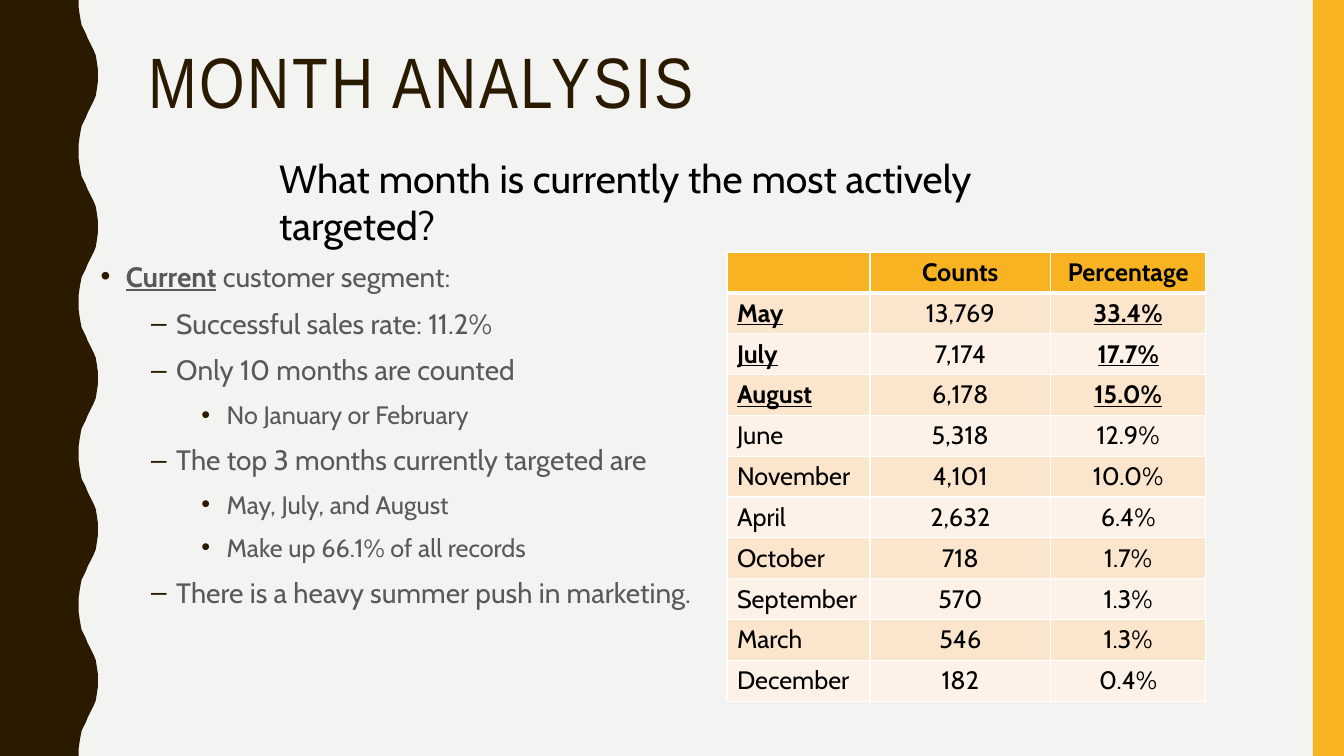
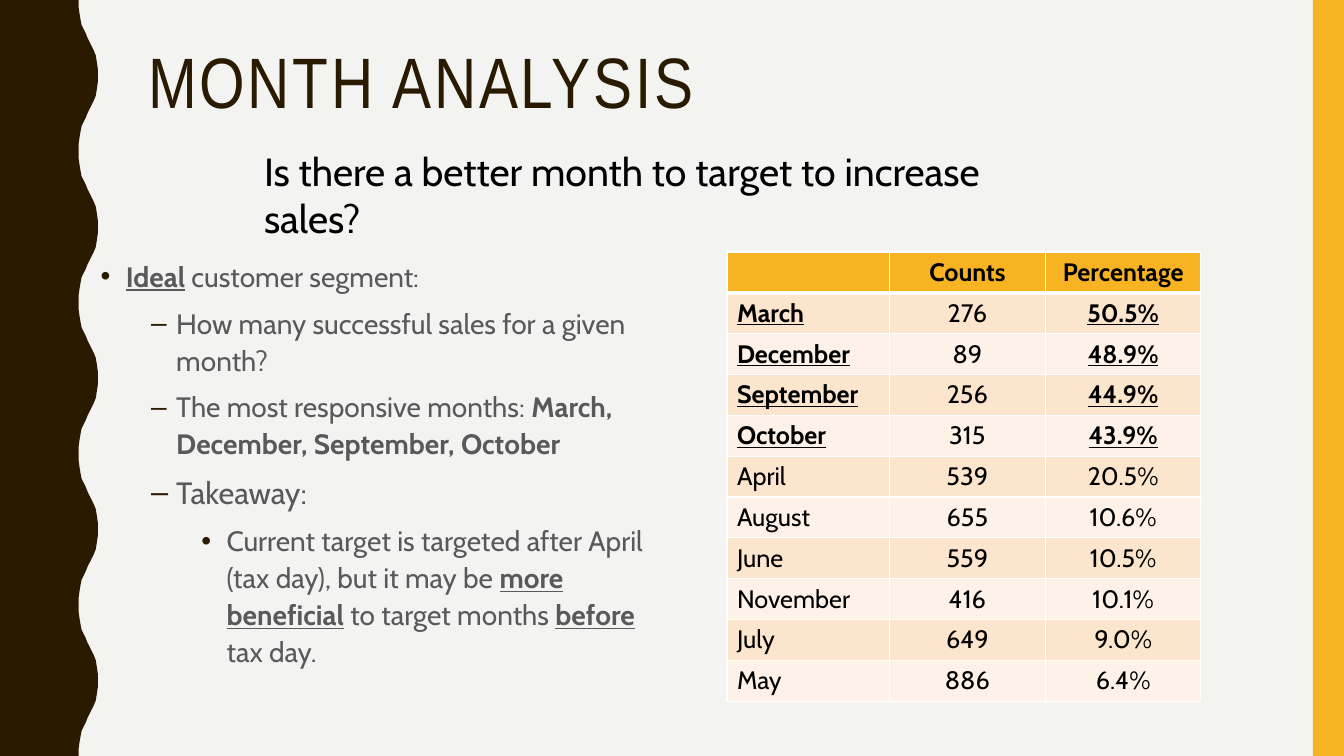
from collections import namedtuple
from dataclasses import dataclass

from lxml import etree
from pptx import Presentation
from pptx import util as u
from pptx.dml import color
from pptx.enum import shapes, text
from pptx.oxml import ns

Inches, Pt = u.Inches, u.Pt
Box = namedtuple("Box", "left top width height")


@dataclass(frozen=True)
class Theme:
    background: str = "F3F3F2"
    dark: str = "2A1A00"
    accent: str = "F8B323"
    body: str = "595959"
    black: str = "000000"
    white: str = "FFFFFF"
    stripes: tuple = ("FCE5CD", "FEF2E8")
    title_font: str = "Arial Narrow"
    text_font: str = "Cabin"
    title_size: int = 51
    question_size: int = 28
    takeaway_size: int = 22
    body_size: int = 20
    small_size: int = 18
    rule: int = 1
    header_rule: int = 3


THEME = Theme()
SLIDE = Box(0, 0, 13.33, 7.5)
WAVE_X = (0.78, 0.78, 0.79, 0.8, 0.81, 0.83, 0.85, 0.87,
          0.89, 0.91, 0.93, 0.95, 0.96, 0.97, 0.97)
WAVE_Y = (0, 0.07, 0.14, 0.2, 0.25, 0.29, 0.33, 0.38,
          0.42, 0.46, 0.5, 0.55, 0.61, 0.68, 0.75)
WAVE_PERIOD = 1.5
WAVE_COUNT = 5


def rgb(value):
    return color.RGBColor.from_string(value)


def emu(box):
    return [Inches(length) for length in box]


def paint(shape, fill):
    shape.shadow.inherit = False
    shape.fill.solid()
    shape.fill.fore_color.rgb = rgb(fill)
    shape.line.fill.background()


def add_run(paragraph, words, size, fill, font=THEME.text_font, style=""):
    run = paragraph.add_run()
    run.text = words
    run.font.name = font
    run.font.size = Pt(size)
    run.font.color.rgb = rgb(fill)
    run.font.bold = "b" in style
    run.font.underline = "u" in style
    return run


def add_text_frame(slide, box):
    frame = slide.shapes.add_textbox(*emu(box)).text_frame
    frame.word_wrap = True
    frame.vertical_anchor = text.MSO_ANCHOR.TOP
    return frame


def add_wave(slide, box):
    rise = list(zip(WAVE_X, WAVE_Y))
    fall = [(x, WAVE_PERIOD - y) for x, y in reversed(rise[:-1])]
    edge = [(x, y + WAVE_PERIOD * wave)
            for wave in range(WAVE_COUNT) for x, y in rise + fall]
    outline = edge + [(0, box.height)]
    builder = slide.shapes.build_freeform(Inches(box.left), Inches(box.top))
    builder.add_line_segments(
        [(Inches(box.left + x), Inches(box.top + y)) for x, y in outline], close=True)
    paint(builder.convert_to_shape(), THEME.dark)


def add_side_band(slide, box):
    band = slide.shapes.add_shape(shapes.MSO_SHAPE.RECTANGLE, *emu(box))
    paint(band, THEME.accent)


def add_title(slide, box, words):
    paragraph = add_text_frame(slide, box).paragraphs[0]
    paragraph.line_spacing = 0.9
    run = add_run(paragraph, words, THEME.title_size, THEME.dark, THEME.title_font)
    run.font._element.set("spc", "200")


def add_question(slide, box, words):
    paragraph = add_text_frame(slide, box).paragraphs[0]
    add_run(paragraph, words, THEME.question_size, THEME.black)


def set_bullet(paragraph, level):
    properties = paragraph._p.get_or_add_pPr()
    properties.set("marL", str(Inches(0.25 + 0.5 * level)))
    properties.set("indent", str(-Inches(0.25)))
    bullet_color = etree.SubElement(properties, ns.qn("a:buClr"))
    etree.SubElement(bullet_color, ns.qn("a:srgbClr"), val=THEME.dark)
    etree.SubElement(properties, ns.qn("a:buFont"), typeface="Arial")
    etree.SubElement(properties, ns.qn("a:buChar"), char="–" if level == 1 else "•")


def add_findings(slide, box, findings):
    frame = add_text_frame(slide, box)
    for index, (level, size, runs) in enumerate(findings):
        paragraph = frame.add_paragraph() if index else frame.paragraphs[0]
        paragraph.level = level
        paragraph.line_spacing = 1.1
        paragraph.space_before = Pt(7)
        set_bullet(paragraph, level)
        for words, style in runs:
            add_run(paragraph, words, size, THEME.body, style=style)


def set_borders(cell, top, bottom):
    properties = cell._tc.get_or_add_tcPr()
    widths = {"lnL": THEME.rule, "lnR": THEME.rule, "lnT": top, "lnB": bottom}
    for side, width in widths.items():
        line = etree.SubElement(properties, ns.qn(f"a:{side}"), w=str(Pt(width)))
        fill = etree.SubElement(line, ns.qn("a:solidFill"))
        etree.SubElement(fill, ns.qn("a:srgbClr"), val=THEME.white)


def add_month_table(slide, box, widths, months, highlighted):
    rows = [("", "Counts", "Percentage"), *months]
    frame = slide.shapes.add_table(len(rows), len(widths), *emu(box))
    table = frame.table
    for column, width in zip(table.columns, widths):
        column.width = Inches(width)
    for row_index, row in enumerate(rows):
        table.rows[row_index].height = Inches(box.height / len(rows))
        header = row_index == 0
        for column_index, words in enumerate(row):
            cell = table.cell(row_index, column_index)
            set_borders(cell,
                        THEME.header_rule if row_index == 1 else THEME.rule,
                        THEME.header_rule if header else THEME.rule)
            cell.fill.solid()
            cell.fill.fore_color.rgb = rgb(
                THEME.accent if header else THEME.stripes[(row_index - 1) % 2])
            if not words:
                continue
            paragraph = cell.text_frame.paragraphs[0]
            if column_index:
                paragraph.alignment = text.PP_ALIGN.CENTER
            strong = row_index <= highlighted and column_index != 1
            style = "b" if header else "bu" if strong else ""
            add_run(paragraph, words, THEME.small_size, THEME.black, style=style)


def add_month_slide(presentation, box, question, findings, table):
    slide = presentation.slides.add_slide(presentation.slide_layouts[6])
    slide.background.fill.solid()
    slide.background.fill.fore_color.rgb = rgb(THEME.background)
    add_wave(slide, Box(box.left, box.top, 0.97, box.height))
    add_side_band(slide, Box(box.left + box.width - 0.31, box.top, 0.31, box.height))
    add_title(slide, Box(box.left + 1.37, box.top + 0.42, 11.13, 1.63), "MONTH ANALYSIS")
    add_question(slide, *question)
    findings_width, lines = findings
    add_findings(slide, Box(box.left + 0.9, box.top + 2.49, findings_width, 4.38), lines)
    widths, months, highlighted = table
    add_month_table(slide, Box(box.left + 7.21, box.top + 2.5, sum(widths), 4.46),
                    widths, months, highlighted)


CURRENT_FINDINGS = [
    (0, THEME.body_size, [("Current", "bu"), (" customer segment:", "")]),
    (1, THEME.body_size, [("Successful sales rate: 11.2%", "")]),
    (1, THEME.body_size, [("Only 10 months are counted", "")]),
    (2, THEME.small_size, [("No January or February", "")]),
    (1, THEME.body_size, [("The top 3 months currently targeted are", "")]),
    (2, THEME.small_size, [("May, July, and August", "")]),
    (2, THEME.small_size, [("Make up 66.1% of all records", "")]),
    (1, THEME.body_size, [("There is a heavy summer push in marketing.", "")]),
]
CURRENT_MONTHS = [
    ("May", "13,769", "33.4%"),
    ("July", "7,174", "17.7%"),
    ("August", "6,178", "15.0%"),
    ("June", "5,318", "12.9%"),
    ("November", "4,101", "10.0%"),
    ("April", "2,632", "6.4%"),
    ("October", "718", "1.7%"),
    ("September", "570", "1.3%"),
    ("March", "546", "1.3%"),
    ("December", "182", "0.4%"),
]
IDEAL_FINDINGS = [
    (0, THEME.body_size, [("Ideal", "bu"), (" customer segment:", "")]),
    (1, THEME.body_size, [("How many successful sales for a given month?", "")]),
    (1, THEME.body_size, [("The most responsive months: ", ""),
                          ("March, December, September, October", "b")]),
    (1, THEME.takeaway_size, [("Takeaway:", "")]),
    (2, THEME.body_size, [
        ("Current target is targeted after April (tax day), but it may be ", ""),
        ("more beneficial", "bu"), (" to target months ", ""),
        ("before", "bu"), (" tax day.", "")]),
]
IDEAL_MONTHS = [
    ("March", "276", "50.5%"),
    ("December", "89", "48.9%"),
    ("September", "256", "44.9%"),
    ("October", "315", "43.9%"),
    ("April", "539", "20.5%"),
    ("August", "655", "10.6%"),
    ("June", "559", "10.5%"),
    ("November", "416", "10.1%"),
    ("July", "649", "9.0%"),
    ("May", "886", "6.4%"),
]

presentation = Presentation()
presentation.slide_width = Inches(SLIDE.width)
presentation.slide_height = Inches(SLIDE.height)
add_month_slide(
    presentation, SLIDE,
    (Box(2.67, 1.48, 8.53, 0.57), "What month is currently the most actively targeted?"),
    (6.7, CURRENT_FINDINGS),
    ((1.42, 1.79, 1.54), CURRENT_MONTHS, 3))
add_month_slide(
    presentation, SLIDE,
    (Box(2.52, 1.41, 8.25, 0.57), "Is there a better month to target to increase sales?"),
    (5.76, IDEAL_FINDINGS),
    ((1.61, 1.55, 1.54), IDEAL_MONTHS, 4))
presentation.save("out.pptx")
